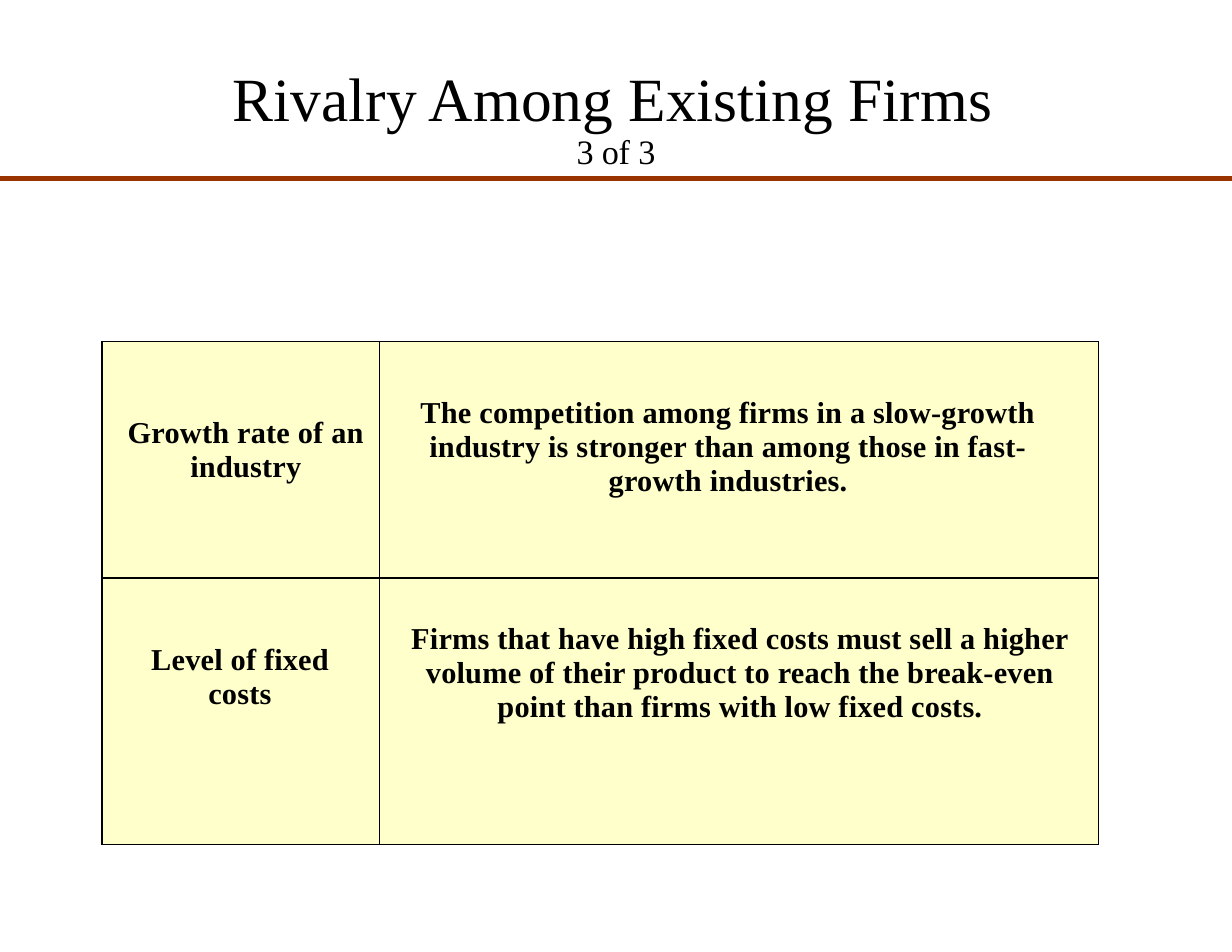
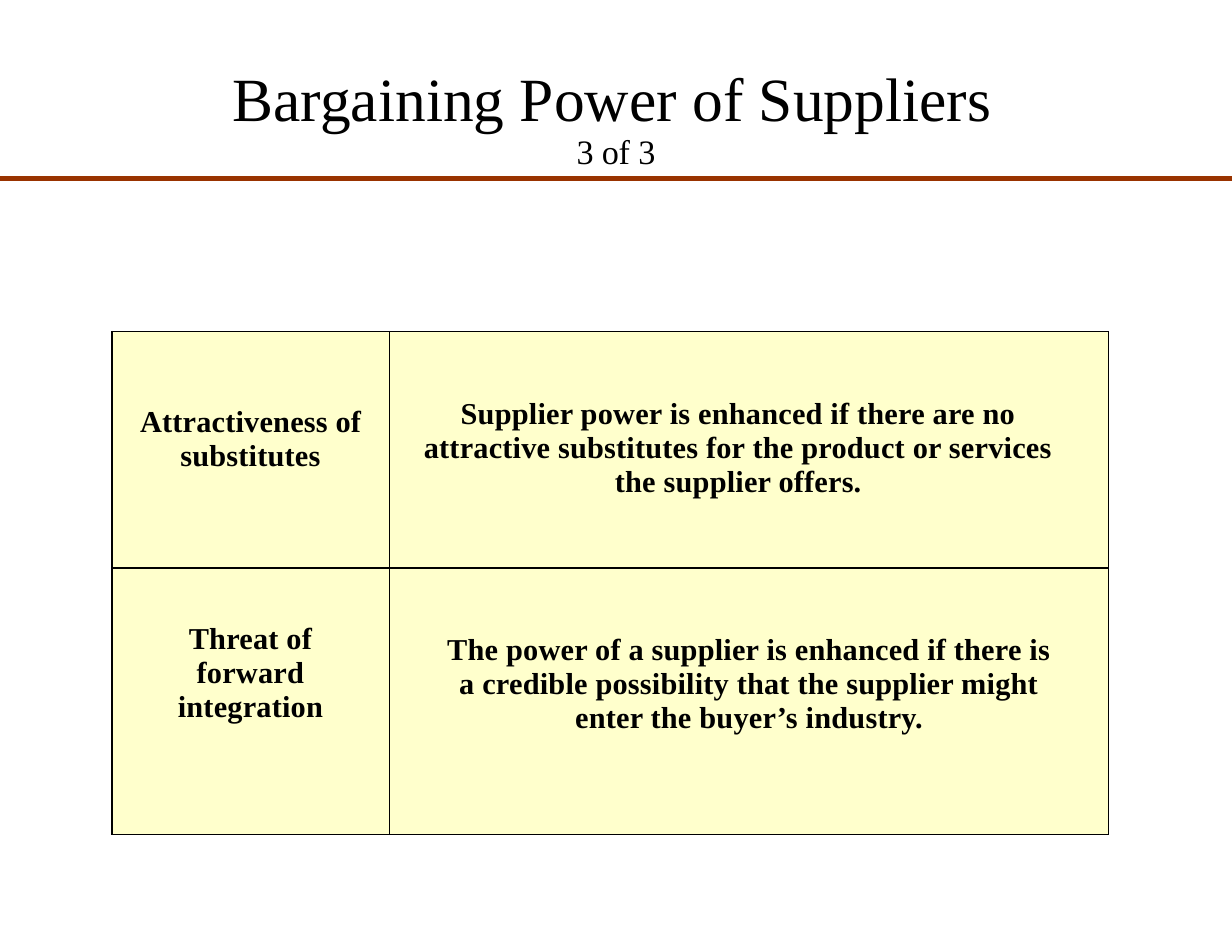
"""Build two slides on competitive forces, each with a two-by-two table."""
from lxml.etree import SubElement
from pptx import Presentation
from pptx.dml.color import RGBColor
from pptx.enum.shapes import MSO_CONNECTOR as Connector
from pptx.enum.text import MSO_ANCHOR as Anchor, MSO_AUTO_SIZE as AutoSize, PP_ALIGN as Align
from pptx.oxml.ns import qn
from pptx.util import Pt

COLORS = {"ink": "000000", "rule": "993300", "cell": "FFFFCC"}
FONT = "Times New Roman"
COLUMN_WIDTHS = (178.6, 462.2)
ROW_HEIGHTS = (152, 171.4)

# Each cell: text, top margin, left margin, right margin, hanging indent (0 = centred)
PAGES = [
    ("Rivalry Among Existing Firms", 65.5, 219.6, [
        [("Growth rate of an industry", 47.8, 16.6, 0, 40.3),
         ("The competition among firms in a slow-growth industry is stronger "
          "than among those in fast-growth industries.", 35, 25, 39, 0)],
        [("Level of fixed costs", 41.9, 31.7, 0, 36.7),
         ("Firms that have high fixed costs must sell a higher volume of their product "
          "to reach the break-even point than firms with low fixed costs.", 28.4, 19, 17.5, 0)],
    ]),
    ("Bargaining Power of Suppliers", 72, 213.1, [
        [("Attractiveness of substitutes", 47.3, 18, 0, 25.9),
         ("Supplier power is enhanced if there are no attractive substitutes "
          "for the product or services the supplier offers.", 42.1, 21, 35, 0)],
        [("Threat of forward integration", 34.9, 40, 40.5, 0),
         ("The power of a supplier is enhanced if there is a credible possibility "
          "that the supplier might enter the buyer’s industry.", 42, 34, 34, 0)],
    ]),
]


def write(frame, text, size, align, bold=False, spacing=10):
    """Put one formatted paragraph into a text frame and return it."""
    frame.text = text
    para = frame.paragraphs[0]
    para.alignment = align
    for span in para.runs:
        span.font.name, span.font.size, span.font.bold = FONT, Pt(size), bold
        span.font.color.rgb = RGBColor.from_string(COLORS["ink"])
        span.font._element.set("spc", str(spacing))
    return para


def set_frame(frame, top, wrap):
    """Anchor a frame at the top with only a top margin."""
    frame.auto_size, frame.word_wrap = AutoSize.NONE, wrap
    frame.vertical_anchor = Anchor.TOP
    frame.margin_left = frame.margin_right = frame.margin_bottom = 0
    frame.margin_top = Pt(top)


deck = Presentation()
deck.slide_width, deck.slide_height = Pt(792), Pt(612)

for heading, table_left, table_top, rows in PAGES:
    page = deck.slides.add_slide(deck.slide_layouts[5])

    title = page.shapes.title
    title.left, title.top, title.width, title.height = Pt(149.5), Pt(32.4), Pt(494), Pt(49.7)
    set_frame(title.text_frame, 6, False)
    write(title.text_frame, heading, 39.5, Align.LEFT, spacing=7)

    rule = page.shapes.add_connector(Connector.STRAIGHT, 0, Pt(114.5), Pt(792), Pt(114.5))
    rule.line.color.rgb = RGBColor.from_string(COLORS["rule"])
    rule.line.width = Pt(3.25)
    SubElement(rule._element.spPr, qn("a:effectLst"))

    counter = page.shapes.add_textbox(Pt(55), Pt(80.6), Pt(682), Pt(28))
    set_frame(counter.text_frame, 3, True)
    write(counter.text_frame, "3 of 3", 22, Align.CENTER, spacing=-10)

    table = page.shapes.add_table(2, 2, Pt(table_left), Pt(table_top),
                                  Pt(sum(COLUMN_WIDTHS)), Pt(sum(ROW_HEIGHTS))).table
    table.first_row = table.horz_banding = False
    for column, width in zip(table.columns, COLUMN_WIDTHS):
        column.width = Pt(width)
    for row, height, entries in zip(table.rows, ROW_HEIGHTS, rows):
        row.height = Pt(height)
        for cell, (text, top, left, right, hang) in zip(row.cells, entries):
            cell.margin_top, cell.margin_bottom = Pt(top), 0
            cell.margin_left, cell.margin_right = Pt(left), Pt(right)
            cell.vertical_anchor = Anchor.TOP
            para = write(cell.text_frame, text, 19.5, Align.LEFT if hang else Align.CENTER, True)
            para.line_spacing = 1.01
            if hang:
                properties = para._p.get_or_add_pPr()
                properties.set("marL", str(Pt(hang)))
                properties.set("indent", str(-Pt(hang)))
            borders = cell._tc.get_or_add_tcPr()
            for side in ("lnL", "lnR", "lnT", "lnB"):
                edge = SubElement(borders, qn(f"a:{side}"), w=str(Pt(1)))
                paint = SubElement(edge, qn("a:solidFill"))
                SubElement(paint, qn("a:srgbClr"), val=COLORS["ink"])
            cell.fill.solid()
            cell.fill.fore_color.rgb = RGBColor.from_string(COLORS["cell"])

deck.save("out.pptx")
